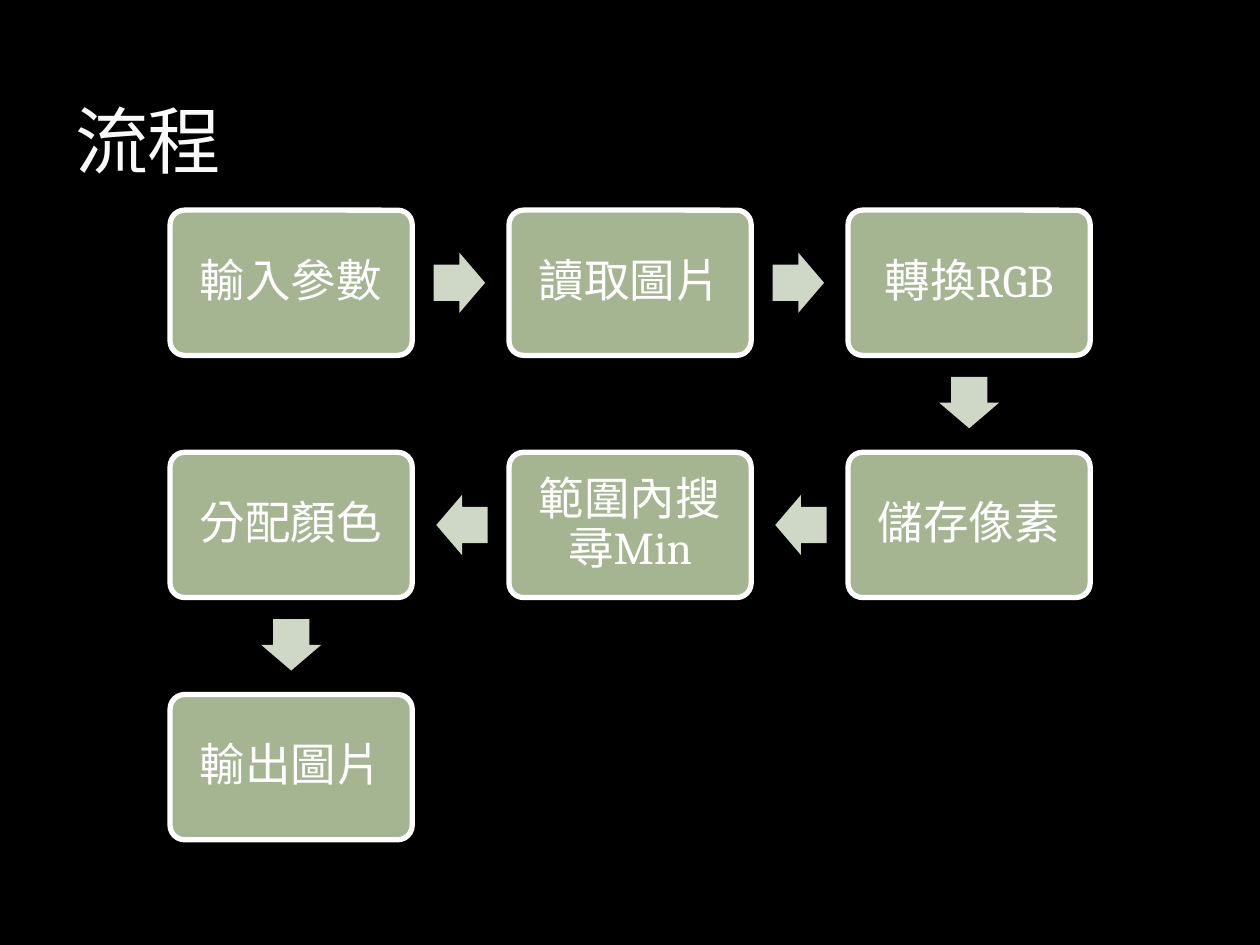
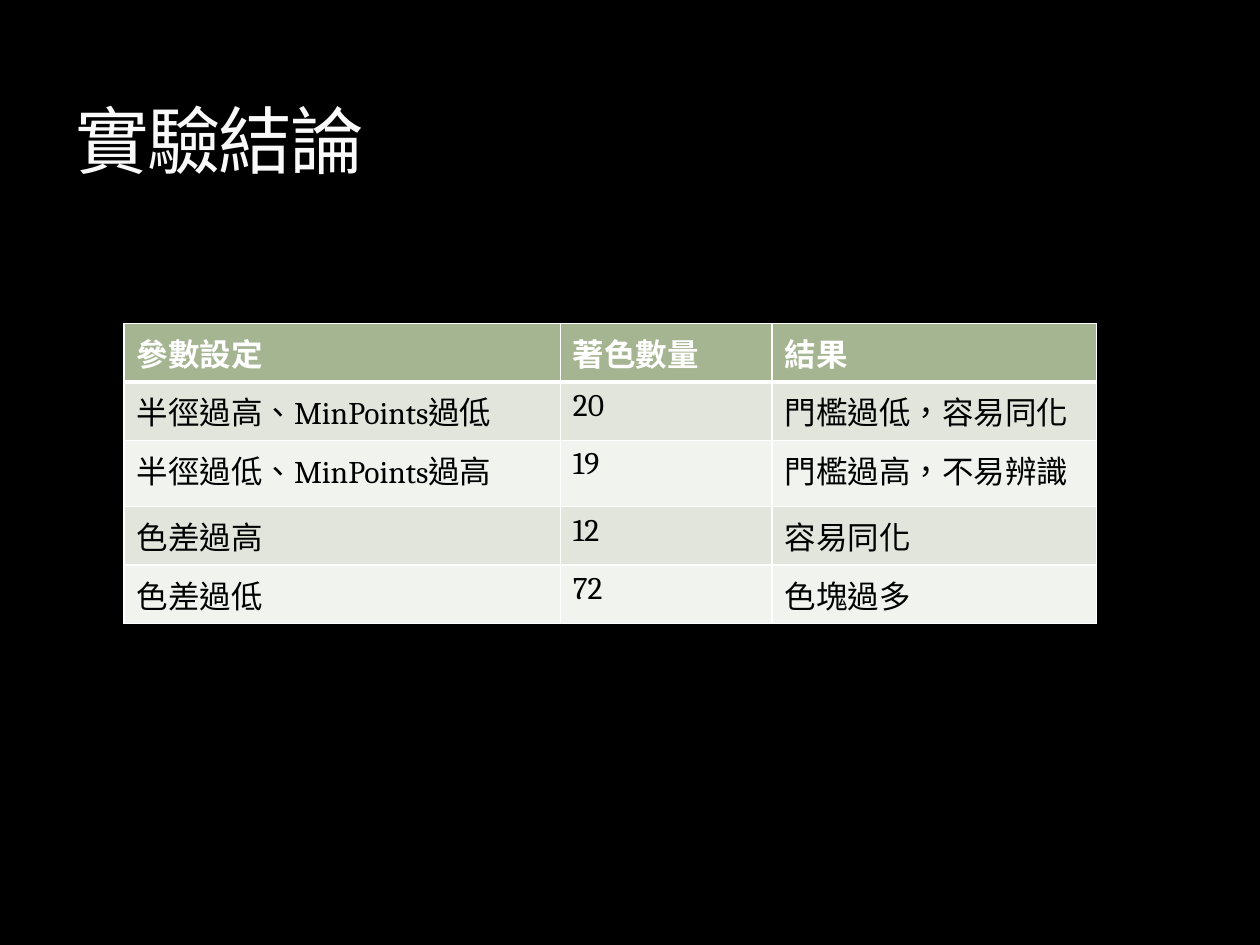
from itertools import pairwise
from lxml.etree import SubElement
from pptx import Presentation
from pptx.dml.color import RGBColor
from pptx.enum.lang import MSO_LANGUAGE_ID as Language
from pptx.enum.shapes import MSO_SHAPE as Shape
from pptx.enum.text import MSO_ANCHOR as Anchor, PP_ALIGN as Align
from pptx.oxml.ns import qn
from pptx.util import Pt

COLORS = {
    "background": "000000",
    "title": "F9F9F9",
    "white": "FFFFFF",
    "black": "000000",
    "green": "A5B592",
    "arrow": "CFD7C7",
    "odd_row": "E1E5DC",
    "even_row": "F0F3EE",
}
COLORS = {name: RGBColor.from_string(value) for name, value in COLORS.items()}
FONT_FORMAT = {"name": "Cambria", "language_id": Language.TRADITIONAL_CHINESE}
TITLES = ["流程", "實驗結論"]


def write_text(frame, text, size, color, bold=False):
    paragraph = frame.paragraphs[0]
    run = paragraph.add_run()
    run.text = text
    for name, value in {**FONT_FORMAT, "size": Pt(size), "bold": bold}.items():
        setattr(run.font, name, value)
    run.font.color.rgb = COLORS[color]
    return paragraph


def add_filled_shape(slide, kind, box, color, adjustments):
    shape = slide.shapes.add_shape(kind, *[Pt(length) for length in box])
    shape.shadow.inherit = False
    shape.fill.solid()
    shape.fill.fore_color.rgb = COLORS[color]
    shape.line.fill.background()
    for index, value in enumerate(adjustments):
        shape.adjustments[index] = value
    return shape


presentation = Presentation()
presentation.slide_width = Pt(720)
presentation.slide_height = Pt(540)

slides = []
for title in TITLES:
    slide = presentation.slides.add_slide(presentation.slide_layouts[6])
    slide.background.fill.solid()
    slide.background.fill.fore_color.rgb = COLORS["background"]
    frame = slide.shapes.add_textbox(Pt(36), Pt(12), Pt(648), Pt(96)).text_frame
    for name, value in {"word_wrap": True, "vertical_anchor": Anchor.BOTTOM}.items():
        setattr(frame, name, value)
    paragraph = write_text(frame, title, 42, "title")
    paragraph.runs[0].font._element.set("spc", "-100")
    slides.append(slide)
flow_slide, result_slide = slides

STEPS = [
    ("輸入參數", 0, 0),
    ("讀取圖片", 1, 0),
    ("轉換RGB", 2, 0),
    ("儲存像素", 2, 1),
    ("範圍內搜尋Min", 1, 1),
    ("分配顏色", 0, 1),
    ("輸出圖片", 0, 2),
]
STEP_LEFT, STEP_TOP = 97.2, 120.1
STEP_WIDTH, STEP_HEIGHT = 138.4, 83
COLUMN_PITCH, ROW_PITCH = 193.7, 138.4
ARROW_WIDTH, ARROW_HEIGHT = 29.4, 34.4
ARROW_SETBACK = 0.75
ROTATIONS = {(1, 0): 0, (0, 1): 90, (-1, 0): 180}
STEP_FORMAT = {
    "word_wrap": True,
    "vertical_anchor": Anchor.MIDDLE,
    "margin_left": Pt(8),
    "margin_right": Pt(8),
    "margin_top": Pt(8),
    "margin_bottom": Pt(8),
}

centers = []
for text, column, row in STEPS:
    left = STEP_LEFT + column * COLUMN_PITCH
    top = STEP_TOP + row * ROW_PITCH
    centers.append((left + STEP_WIDTH / 2, top + STEP_HEIGHT / 2))
    box = (left, top, STEP_WIDTH, STEP_HEIGHT)
    step = add_filled_shape(flow_slide, Shape.ROUNDED_RECTANGLE, box, "green", [0.1])
    step.line.color.rgb = COLORS["white"]
    step.line.width = Pt(3)
    for name, value in STEP_FORMAT.items():
        setattr(step.text_frame, name, value)
    paragraph = write_text(step.text_frame, text, 26, "white")
    for name, value in {"alignment": Align.CENTER, "line_spacing": 0.9}.items():
        setattr(paragraph, name, value)

for (start, end), (step, following) in zip(pairwise(centers), pairwise(STEPS)):
    direction = (following[1] - step[1], following[2] - step[2])
    middle_x, middle_y = [
        (first + second) / 2 - ARROW_SETBACK * sign
        for first, second, sign in zip(start, end, direction)
    ]
    box = (middle_x - ARROW_WIDTH / 2, middle_y - ARROW_HEIGHT / 2, ARROW_WIDTH, ARROW_HEIGHT)
    arrow = add_filled_shape(flow_slide, Shape.RIGHT_ARROW, box, "arrow", [0.6, 0.5])
    arrow.rotation = ROTATIONS[direction]

RESULTS = [
    ("參數設定", "著色數量", "結果"),
    ("半徑過高、MinPoints過低", "20", "門檻過低，容易同化"),
    ("半徑過低、MinPoints過高", "19", "門檻過高，不易辨識"),
    ("色差過高", "12", "容易同化"),
    ("色差過低", "72", "色塊過多"),
]
COLUMN_WIDTHS = [249.4, 121, 185.4]
ROW_HEIGHTS = [33.4, 33.4, 38, 33.4, 33.4]

table = result_slide.shapes.add_table(
    len(RESULTS), len(COLUMN_WIDTHS), Pt(70.8), Pt(184.8),
    Pt(sum(COLUMN_WIDTHS)), Pt(sum(ROW_HEIGHTS)),
).table
for column, width in zip(table.columns, COLUMN_WIDTHS):
    column.width = Pt(width)
for row, height in zip(table.rows, ROW_HEIGHTS):
    row.height = Pt(height)

for row_index, texts in enumerate(RESULTS):
    is_header = row_index == 0
    fill = "green" if is_header else ("even_row", "odd_row")[row_index % 2]
    border_widths = {
        "lnL": 1,
        "lnR": 1,
        "lnT": 3 if row_index == 1 else 1,
        "lnB": 3 if is_header else 1,
    }
    for column_index, text in enumerate(texts):
        cell = table.cell(row_index, column_index)
        write_text(cell.text_frame, text, 18, "white" if is_header else "black", is_header)
        properties = cell._tc.get_or_add_tcPr()
        for side, width in border_widths.items():
            border = SubElement(properties, qn(f"a:{side}"), w=str(Pt(width)))
            solid = SubElement(border, qn("a:solidFill"))
            SubElement(solid, qn("a:srgbClr"), val=str(COLORS["white"]))
        cell.fill.solid()
        cell.fill.fore_color.rgb = COLORS[fill]

presentation.save("out.pptx")
